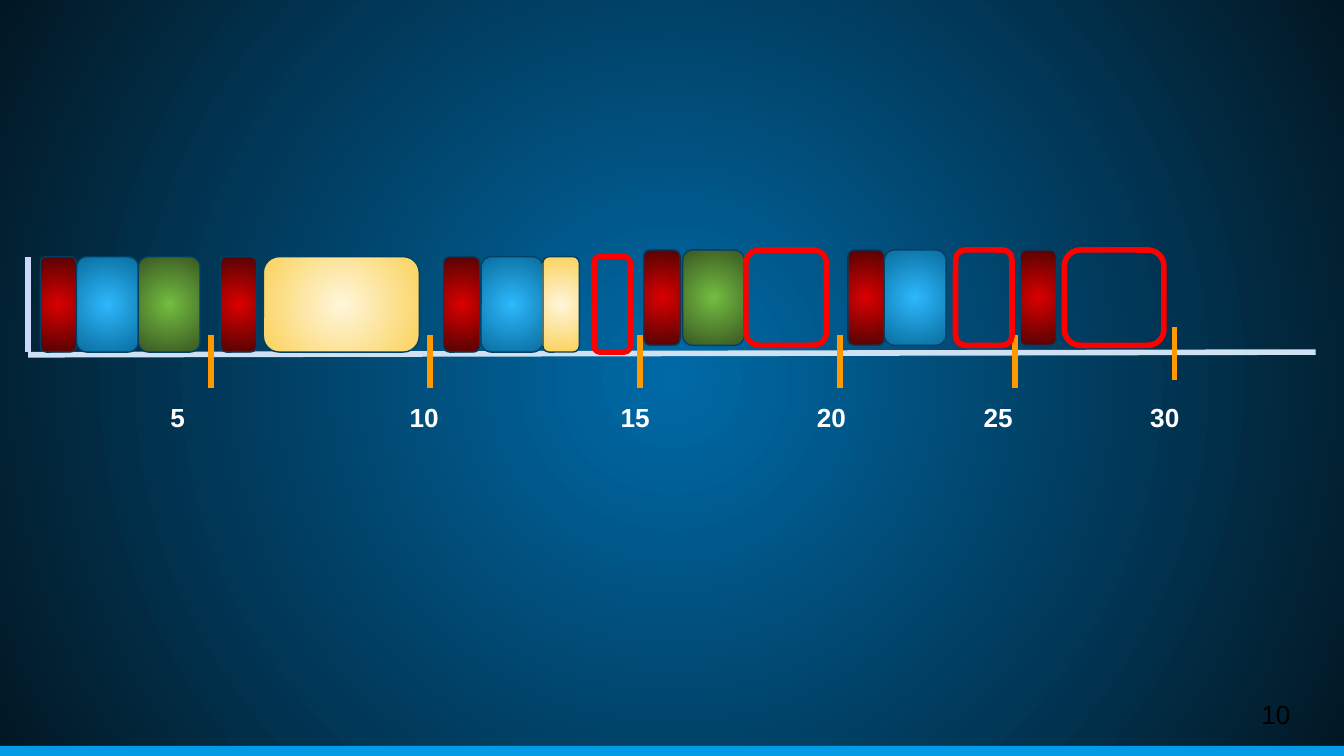
from pptx import Presentation
from pptx.dml.color import RGBColor
from pptx.enum.shapes import MSO_CONNECTOR as CONN, MSO_SHAPE as SHAPE
from pptx.enum.text import PP_ALIGN as ALIGN
from pptx.oxml import parse_xml
from pptx.oxml.ns import nsdecls, qn
from pptx.util import Inches, Pt

COLS, ROWS = 100, 56.25
UNIT = Inches(10) / COLS  # one grid cell is square

COLORS = {
    "bg_in": "006AA7", "bg_out": "021723", "footer": "039BE5",
    "wall": "C9DAF8", "axis": "CFE2F3", "tick": "FF9900",
    "outline": "004065", "empty": "FF0000",
    "label": "FFFFFF", "number": "000000",
    "red_in": "DB0000", "red_out": "540303",
    "blue_in": "2EB8FC", "blue_out": "096D9F",
    "green_in": "74BD40", "green_out": "395723",
    "cream_in": "FFF6DB", "cream_out": "FAD25C",
}

# Kind, left and width in columns from the left end of the timeline
BLOCKS = [
    ("red", 0.9, 2.7), ("blue", 3.6, 4.6), ("green", 8.2, 4.6),
    ("red", 14.3, 2.7), ("cream", 17.5, 11.6),
    ("red", 30.9, 2.7), ("blue", 33.7, 4.6), ("cream", 38.3, 2.7),
    ("empty", 42.1, 2.7),
    ("red", 45.8, 2.7), ("green", 48.7, 4.6), ("empty", 53.4, 6),
    ("red", 61, 2.7), ("blue", 63.7, 4.6), ("empty", 69, 4.2),
    ("red", 73.8, 2.7), ("empty", 77.1, 7.4),
]
LIFT_FROM, LIFT = 45, 0.5  # later blocks sit slightly higher
BLOCK_H = 7.1
TICKS = [13.6, 29.9, 45.5, 60.4, 73.4, 85.3]
LABELS = ["5", "10", "15", "20", "25", "30"]
LABEL_TABS = [17.8, 33.5, 48.1, 60.5, 72.9]


def grid(*cells):
    return [round(c * UNIT) for c in cells]


def rgb(name):
    return RGBColor.from_string(COLORS[name])


def radial_fill(fill, owner, name):
    """Fill from the centre outwards; owner is the XML element holding the fill."""
    fill.gradient()
    for stop, end in zip(fill.gradient_stops, ("in", "out")):
        stop.color.rgb = rgb(f"{name}_{end}")
    lin = next(owner.iter(qn("a:lin")))
    lin.getparent().replace(lin, parse_xml(
        f'<a:path {nsdecls("a")} path="circle">'
        '<a:fillToRect l="50000" t="50000" r="50000" b="50000"/></a:path>'))


def add_line(slide, x1, y1, x2, y2, color):
    s = slide.shapes.add_connector(CONN.STRAIGHT, *grid(x1, y1, x2, y2))
    s.line.color.rgb = rgb(color)
    s.line.width = Pt(3)
    s._element.spPr.append(parse_xml(f'<a:effectLst {nsdecls("a")}/>'))


def add_text(slide, text, box, color="label", size=14, bold=False,
             align=ALIGN.LEFT, tabs=()):
    tf = slide.shapes.add_textbox(*grid(*box)).text_frame
    tf.word_wrap = True
    tf.margin_left = tf.margin_right = tf.margin_top = tf.margin_bottom = Inches(0.1)
    p = tf.paragraphs[0]
    p.alignment = align
    if tabs:
        stops = "".join(f'<a:tab pos="{pos}" algn="l"/>' for pos in grid(*tabs))
        p._p.get_or_add_pPr().append(
            parse_xml(f'<a:tabLst {nsdecls("a")}>{stops}</a:tabLst>'))
    r = p.add_run()
    r.text = text
    r.font.name, r.font.size, r.font.bold = "Arial", Pt(size), bold
    r.font.color.rgb = rgb(color)


def add_block(slide, kind, box):
    s = slide.shapes.add_shape(SHAPE.ROUNDED_RECTANGLE, *grid(*box))
    s.shadow.inherit = False
    if kind == "empty":
        s.fill.background()
    else:
        radial_fill(s.fill, s._element, kind)
    s.line.color.rgb = rgb("empty" if kind == "empty" else "outline")
    s.line.width = Pt(3 if kind == "empty" else 0.75)


def add_timeline(slide, left, top, width):
    """Axis, ticks, labels and blocks; top is the top of the lifted blocks."""
    wall_top = top + LIFT
    add_line(slide, left, wall_top, left, wall_top + BLOCK_H, "wall")
    add_line(slide, left, top + 7.8, left + width, top + 7.6, "axis")
    for x in TICKS:
        y = top + (5.7 if x == TICKS[-1] else 6.3)
        add_line(slide, left + x, y, left + x, y + 4, "tick")
    add_text(slide, "\t".join(LABELS), (left + 9.6, top + 10.3, 81.7, 10),
             bold=True, tabs=LABEL_TABS)
    for kind, x, w in BLOCKS:
        y = top if x > LIFT_FROM else wall_top
        add_block(slide, kind, (left + x, y, w, BLOCK_H))


def add_footer(slide, top, height):
    s = slide.shapes.add_shape(SHAPE.RECTANGLE, *grid(0, top, COLS, height))
    s.shadow.inherit = False
    s.fill.solid()
    s.fill.fore_color.rgb = rgb("footer")
    s.line.fill.background()
    add_text(slide, "10", (COLS - 9, top - 4.5, 6, 4.3), color="number",
             align=ALIGN.RIGHT)


def main():
    prs = Presentation()
    prs.slide_width, prs.slide_height = grid(COLS, ROWS)
    slide = prs.slides.add_slide(prs.slide_layouts[6])
    radial_fill(slide.background.fill, slide._element, "bg")
    add_footer(slide, ROWS - 0.75, 0.75)
    add_timeline(slide, 2.1, 18.6, 95.8)
    prs.save("out.pptx")


if __name__ == "__main__":
    main()
